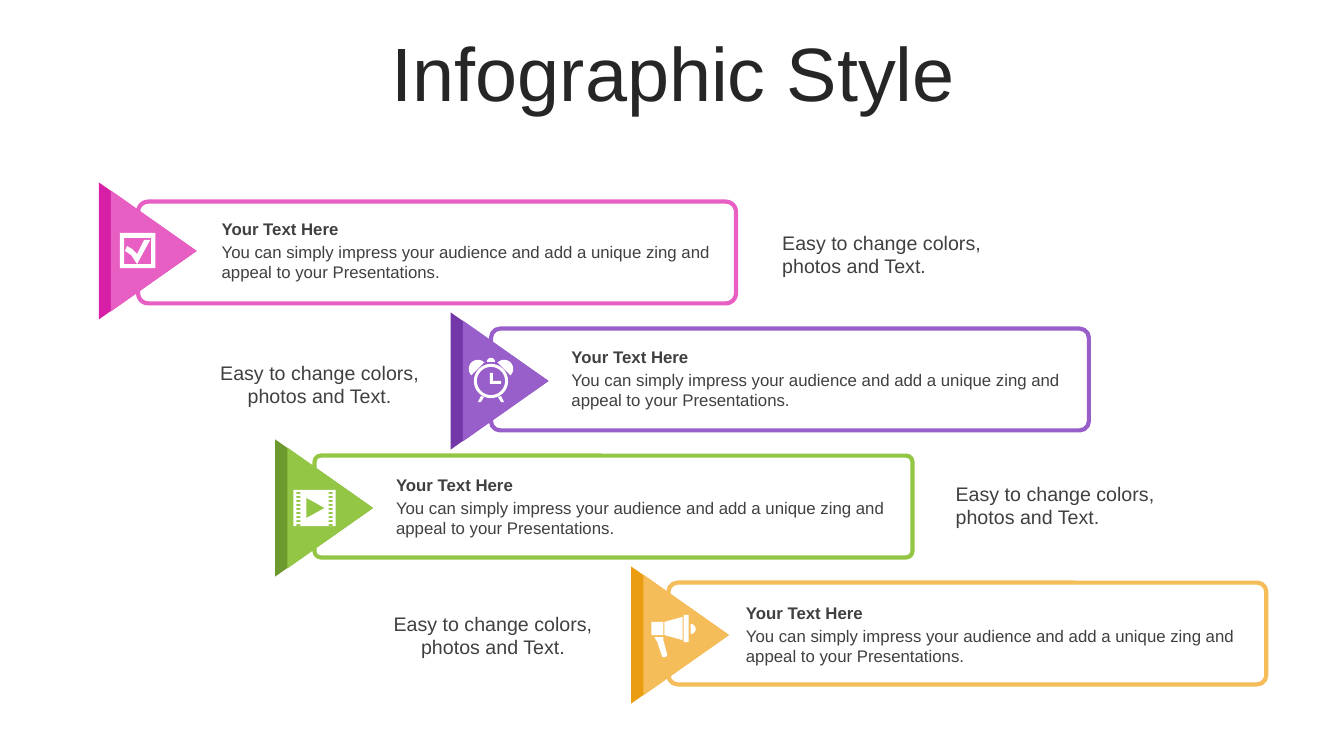
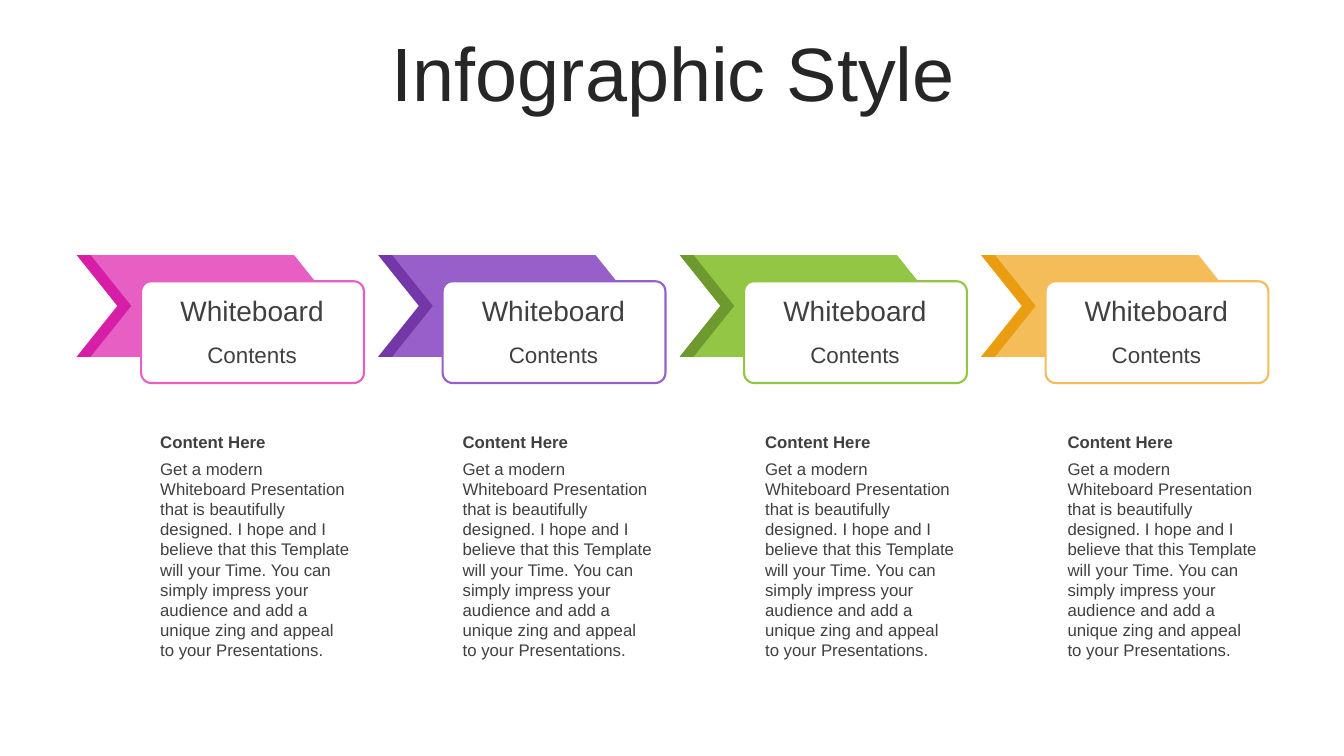
from math import cos, radians, sin
from typing import NamedTuple

from pptx import Presentation
from pptx.dml.color import RGBColor
from pptx.enum.shapes import MSO_SHAPE as Preset
from pptx.enum.text import MSO_ANCHOR as Anchor, MSO_AUTO_SIZE as AutoSize, PP_ALIGN as Align
from pptx.util import Inches, Pt

FONT = "Arial"
WHITE, HEADING, INK = "FFFFFF", "262626", "404040"
THEMES = [("D61FA6", "E85FC4"), ("7337A7", "985ECA"), ("6E992F", "92C644"), ("EA9D10", "F4BD59")]

TITLE = "Infographic Style"
BANNER_HEADING = "Your Text Here"
BANNER_BODY = ("You can simply impress your audience and add a unique zing "
               "and appeal to your Presentations.")
SIDE_NOTE = "Easy to change colors, photos and Text."
COLUMN_HEADING = "Content Here"
COLUMN_BODY = ("Get a modern Whiteboard Presentation that is beautifully designed. "
               "I hope and I believe that this Template will your Time. You can simply "
               "impress your audience and add a unique zing and appeal to your Presentations.")


class Banner(NamedTuple):
    """Places of one banner's parts in inches."""
    panel: tuple
    corner: float
    arrow: tuple
    text: tuple
    note: tuple
    note_align: Align


BANNERS = [
    Banner((1.37, 2), 0.1, (0.98, 2.49), (2.1, 2.12), (7.66, 2.24), Align.LEFT),
    Banner((4.87, 3.26), 0.09, (4.47, 3.78), (5.57, 3.39), (1.88, 3.53), Align.CENTER),
    Banner((3.12, 4.52), 0.06, (2.73, 5.04), (3.83, 4.66), (9.38, 4.73), Align.LEFT),
    Banner((6.63, 5.78), 0.09, (6.26, 6.3), (7.3, 5.93), (3.6, 6.02), Align.CENTER),
]


def paint(color_format, color):
    """Give a fill a solid colour from a hex string."""
    color_format.solid()
    color_format.fore_color.rgb = RGBColor.from_string(color)


def finish(shape, fill, line=None, width=0):
    """Set the fill and outline of a shape and remove its shadow."""
    shape.shadow.inherit = False
    paint(shape.fill, fill)
    if line:
        paint(shape.line.fill, line)
        shape.line.width = Pt(width)
    else:
        shape.line.fill.background()
    return shape


def add_preset(slide, preset, box, fill, adjust=None, **outline):
    """Add a preset shape in a box given in inches."""
    shape = slide.shapes.add_shape(preset, *map(Inches, box))
    if adjust is not None:
        shape.adjustments[0] = adjust
    return finish(shape, fill, **outline)


def write(frame, text, size=12, color=INK, bold=False, align=Align.LEFT,
          anchor=Anchor.TOP, spacing=None):
    """Fill a text frame with one formatted paragraph."""
    frame.word_wrap = True
    frame.auto_size = AutoSize.NONE
    frame.vertical_anchor = anchor
    paragraph = frame.paragraphs[0]
    paragraph.alignment = align
    if spacing:
        paragraph.line_spacing = spacing
    run = paragraph.add_run()
    run.text = text
    run.font.name, run.font.size, run.font.bold = FONT, Pt(size), bold
    run.font.color.rgb = RGBColor.from_string(color)


def add_text(slide, box, text, **style):
    """Add a text box in a box given in inches."""
    write(slide.shapes.add_textbox(*map(Inches, box)).text_frame, text, **style)


def add_titled_slide(deck):
    """Add a slide with the shared title."""
    slide = deck.slides.add_slide(deck.slide_layouts[5])
    title = slide.shapes.title
    title.left, title.top, title.width, title.height = map(Inches, (0.35, 0.37, 12.66, 0.79))
    write(title.text_frame, TITLE, size=54, color=HEADING, align=Align.CENTER,
          anchor=Anchor.MIDDLE, spacing=0.9)
    return slide


def rect(left, top, right, bottom):
    """Return the corners of a rectangle."""
    return [(left, top), (right, top), (right, bottom), (left, bottom)]


def arc(x, y, radius, start=0, end=360):
    """Return points along a circular arc, with angles in degrees."""
    steps = 32
    angles = [radians(start + (end - start) * step / steps) for step in range(steps + 1)]
    return [(x + radius * cos(angle), y + radius * sin(angle)) for angle in angles]


def checkbox_icon():
    """Return the outlines of a ticked box."""
    tick = [(0.26, 0), (0.28, -0.05), (0.33, -0.02), (0.38, 0.03), (0.42, -0.05),
            (0.45, -0.11), (0.51, -0.11), (0.45, 0), (0.38, 0.13), (0.32, 0.04)]
    return [rect(0.21, -0.18, 0.56, 0.17), rect(0.25, -0.13, 0.52, 0.13), tick]


def clock_icon():
    """Return the outlines of an alarm clock."""
    x = 0.4
    hands = [(x - 0.01, -0.08), (x + 0.02, -0.08), (x + 0.02, 0), (x + 0.1, 0),
             (x + 0.1, 0.03), (x - 0.01, 0.03)]
    legs = [[(x + side * reach, y) for reach, y in
             ((0.1, 0.15), (0.13, 0.21), (0.1, 0.21), (0.07, 0.16))] for side in (-1, 1)]
    bells = [arc(x - 0.13, -0.12, 0.09, 135, 315), arc(x + 0.13, -0.12, 0.09, -135, 45)]
    knob = arc(x, -0.19, 0.04, 180, 360)
    return [arc(x, 0, 0.17), arc(x, 0, 0.14), hands, knob, *legs, *bells]


def film_icon():
    """Return the outlines of a film strip with a play mark."""
    holes = [rect(left, top, left + 0.04, top + 0.02)
             for left in (0.21, 0.53) for top in (-0.16 + 0.04 * row for row in range(9))]
    play = [(0.31, -0.1), (0.31, 0.1), (0.49, 0)]
    return [rect(0.18, -0.18, 0.6, 0.18), play, *holes]


def megaphone_icon():
    """Return the outlines of a megaphone."""
    grip = [(0.23, 0.02), (0.32, 0.02), (0.32, 0.05), (0.36, 0.2), (0.34, 0.22),
            (0.31, 0.22), (0.26, 0.07)]
    horn = [(0.51, -0.18), (0.51, 0.05), (0.33, 0), (0.33, -0.13)]
    return [grip, horn, rect(0.2, -0.13, 0.32, 0), rect(0.52, -0.2, 0.57, 0.07),
            arc(0.59, -0.06, 0.05, -90, 90)]


ICONS = [checkbox_icon, clock_icon, film_icon, megaphone_icon]


def add_icon(slide, origin, outlines):
    """Draw white outlines relative to an origin in inches."""
    placed = [[(Inches(origin[0] + x), Inches(origin[1] + y)) for x, y in outline]
              for outline in outlines]
    builder = slide.shapes.build_freeform(*placed[0][0], scale=1.0)
    builder.add_line_segments(placed[0][1:], close=True)
    for outline in placed[1:]:
        builder.move_to(*outline[0])
        builder.add_line_segments(outline[1:], close=True)
    finish(builder.convert_to_shape(), WHITE)


def add_arrow(slide, origin, theme):
    """Add a two-tone triangle pointing right from its left middle."""
    left, middle = origin
    tip = left + 0.97
    for base, depth, color in zip((1.36, 1.2), (0.97, 0.85), theme):
        box = (tip - depth / 2 - base / 2, middle - depth / 2, base, depth)
        add_preset(slide, Preset.ISOSCELES_TRIANGLE, box, color).rotation = 90


def add_banner(slide, banner, theme, icon):
    """Add one framed banner with its arrow, icon and texts."""
    add_preset(slide, Preset.ROUNDED_RECTANGLE, (*banner.panel, 5.93, 1.01), WHITE,
               adjust=banner.corner, line=theme[1], width=3)
    add_arrow(slide, banner.arrow, theme)
    add_icon(slide, banner.arrow, icon())
    left, top = banner.text
    add_text(slide, (left, top, 5.2, 0.3), BANNER_HEADING, bold=True)
    add_text(slide, (left, top + 0.23, 5.2, 0.5), BANNER_BODY)
    add_text(slide, (*banner.note, 2.58, 0.57), SIDE_NOTE, size=14, align=banner.note_align)


def add_step(slide, left, top, theme):
    """Add a two-tone chevron with a captioned card over it."""
    for shift, color in zip((0, 0.14), theme):
        add_preset(slide, Preset.CHEVRON, (left + shift, top, 2.42, 1.01), color, adjust=0.4)
    add_preset(slide, Preset.ROUNDED_RECTANGLE, (left + 0.64, top + 0.26, 2.21, 1.01),
               WHITE, adjust=0.1, line=theme[1], width=1.5)
    add_text(slide, (left + 0.7, top + 0.33, 2.08, 0.44), "Whiteboard", size=20,
             align=Align.CENTER)
    add_text(slide, (left + 0.7, top + 0.81, 2.08, 0.37), "Contents", size=16,
             align=Align.CENTER)


def add_column(slide, left, top):
    """Add a heading with its description below."""
    add_text(slide, (left, top, 2.09, 0.3), COLUMN_HEADING, bold=True, anchor=Anchor.MIDDLE)
    add_text(slide, (left, top + 0.27, 2.09, 2.12), COLUMN_BODY)


def build_banner_slide(deck):
    """Build the slide of staggered banners."""
    slide = add_titled_slide(deck)
    for banner, theme, icon in zip(BANNERS, THEMES, ICONS):
        add_banner(slide, banner, theme, icon)


def build_step_slide(deck):
    """Build the slide of four steps with descriptions."""
    slide = add_titled_slide(deck)
    for index, theme in enumerate(THEMES):
        add_step(slide, 0.76 + 2.99 * index, 2.53, theme)
        add_column(slide, 1.49 + 3 * index, 4.23)


def main():
    """Build and save the presentation."""
    deck = Presentation()
    deck.slide_width, deck.slide_height = Inches(13.33), Inches(7.5)
    build_banner_slide(deck)
    build_step_slide(deck)
    deck.save("out.pptx")


if __name__ == "__main__":
    main()
